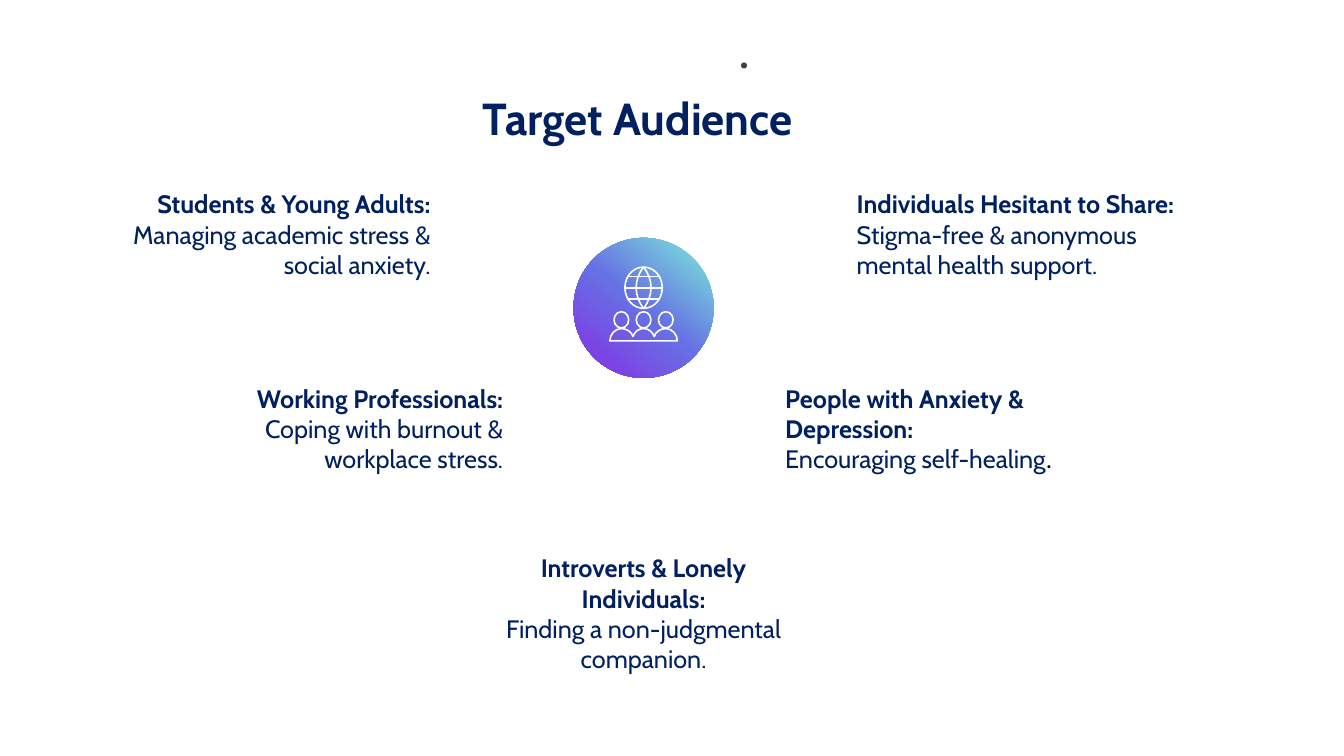
from copy import deepcopy

from pptx import Presentation, util as u
from pptx.dml.color import RGBColor
from pptx.enum import shapes, text
from pptx.oxml.ns import qn

NAVY = RGBColor(0x00, 0x20, 0x60)
BLACK = RGBColor(0, 0, 0)
WHITE = RGBColor(0xFF, 0xFF, 0xFF)
GRAY = RGBColor(0x40, 0x40, 0x40)
GRADIENT = [
    (0, RGBColor(0x7C, 0xEF, 0xD8)),
    (0.5, RGBColor(0x66, 0x72, 0xE4)),
    (1, RGBColor(0x88, 0x2B, 0xE5)),
]
LEFT, CENTER, RIGHT = text.PP_ALIGN.LEFT, text.PP_ALIGN.CENTER, text.PP_ALIGN.RIGHT

TITLE = "Target Audience"
AUDIENCES = [
    ("Students & Young Adults:", "Managing academic stress & social anxiety.", "",
     RIGHT, (2.92, 4.63, 8.18, 2.56)),
    ("Introverts & Lonely Individuals:", "Finding a non-judgmental companion.", "",
     CENTER, (11.94, 13.8, 8.56, 3.33)),
    ("Working Professionals:", "Coping with burnout & workplace stress.", "",
     RIGHT, (4.52, 9.53, 8.41, 2.56)),
    ("People with Anxiety & Depression:", "Encouraging self-healing", ".",
     LEFT, (19.54, 9.53, 8, 2.56)),
    ("Individuals Hesitant to Share:", "Stigma-free & anonymous mental health support.", "",
     LEFT, (21.34, 4.63, 8.66, 3.33)),
]

ICON_X = 16.22
GLOBE_Y = 7.25
PARALLELS = [(0.28, 0.41), (-0.28, 0.41), (0, 0.47)]
HEAD_PITCH = 0.56
GLOBE = [(0.47, 0), (0.47, 0.29), (0.26, 0.52), (0, 0.52),
         (-0.26, 0.52), (-0.47, 0.29), (-0.47, 0),
         (-0.47, -0.29), (-0.26, -0.52), (0, -0.52),
         (0.26, -0.52), (0.47, -0.29), (0.47, 0)]
MERIDIAN = [(0, -0.52), (0.25, -0.2), (0.25, 0.2), (0, 0.52)]
HALF_SHOULDERS = [(0.85, 1.34), (0.85, 1.18), (0.72, 1.03), (0.56, 1.03),
                  (0.43, 1.03), (0.3, 1.11), (0.27, 1.23),
                  (0.22, 1.11), (0.13, 1.03), (0, 1.03)]


def mirror(points):
    return [(-x, y) for x, y in points]


def outline(shape):
    shape.fill.background()
    shape.line.color.rgb = WHITE
    shape.line.width = u.Pt(1.13)
    shape.shadow.inherit = False


def add_ellipse(parent, x, y, width, height):
    shape = parent.add_shape(shapes.MSO_SHAPE.OVAL, u.Cm(x - width / 2),
                             u.Cm(y - height / 2), u.Cm(width), u.Cm(height))
    shape.shadow.inherit = False
    return shape


def add_curve(parent, offsets, closed=False):
    points = [(u.Cm(ICON_X + x), u.Cm(GLOBE_Y + y)) for x, y in offsets]
    builder = parent.build_freeform(*points[0])
    builder.add_line_segments(points[1:], close=closed)
    shape = builder.convert_to_shape()
    outline(shape)
    segments = list(shape._element.iter(qn("a:lnTo")))[:len(points) - 1]
    for start in range(0, len(segments), 3):
        curve = segments[start].makeelement(qn("a:cubicBezTo"), {})
        segments[start].addprevious(curve)
        for segment in segments[start:start + 3]:
            curve.append(segment[0])
            segment.getparent().remove(segment)


def add_span(para, words, size, bold, font="Cabin", color=NAVY):
    span = para.add_run()
    span.text = words
    span.font.name = font
    span.font.size = u.Pt(size)
    span.font.bold = bold
    span.font.color.rgb = color


def add_title(page):
    title = page.shapes.title
    title.left, title.top, title.width, title.height = map(u.Cm, (0.58, 2.23, 30.99, 1.32))
    frame = title.text_frame
    frame.margin_left = frame.margin_top = frame.margin_right = frame.margin_bottom = 0
    frame.vertical_anchor = text.MSO_ANCHOR.TOP
    frame.auto_size = text.MSO_AUTO_SIZE.NONE
    para = frame.paragraphs[0]
    para.alignment = CENTER
    para.line_spacing = u.Pt(40)
    add_span(para, TITLE, 32, True)


def add_audience(page, heading, detail, ending, alignment, place):
    box = page.shapes.add_textbox(*map(u.Cm, place))
    frame = box.text_frame
    frame.word_wrap = True
    paras = [frame.paragraphs[0], frame.add_paragraph()]
    for para, words, bold in zip(paras, (heading, detail), (True, False)):
        para.alignment = alignment
        add_span(para, words, 18, bold)
    if ending:
        add_span(paras[1], ending, 18, False, "Calibri", BLACK)


def add_icon(page):
    icon = page.shapes.add_group_shape().shapes

    disc = add_ellipse(icon, ICON_X, 7.76, 3.53, 3.53)
    disc.line.fill.background()
    disc.fill.gradient()
    disc.fill.gradient_angle = 230
    stops = disc._element.spPr.find(qn("a:gradFill")).find(qn("a:gsLst"))
    stops.append(deepcopy(stops[0]))
    for stop, (position, color) in zip(disc.fill.gradient_stops, GRADIENT):
        stop.position = position
        stop.color.rgb = color

    add_curve(icon, GLOBE, True)
    add_curve(icon, mirror(MERIDIAN))
    add_curve(icon, MERIDIAN)
    for rise, half in PARALLELS:
        y = u.Cm(GLOBE_Y + rise)
        line = icon.add_connector(shapes.MSO_CONNECTOR.STRAIGHT, u.Cm(ICON_X - half), y,
                                  u.Cm(ICON_X + half), y)
        line.line.color.rgb = WHITE
        line.line.width = u.Pt(1.13)
        line._element.spPr.get_or_add_ln().addnext(
            line._element.makeelement(qn("a:effectLst"), {}))

    for place in (-1, 0, 1):
        outline(add_ellipse(icon, ICON_X + place * HEAD_PITCH, 8.06, 0.37, 0.41))
    corner = HALF_SHOULDERS[0]
    add_curve(icon, HALF_SHOULDERS + mirror(HALF_SHOULDERS[-2::-1]) + [corner] * 3, True)


def main():
    deck = Presentation()
    deck.slide_width, deck.slide_height = u.Cm(33.87), u.Cm(19.05)
    page = deck.slides.add_slide(deck.slide_layouts[5])
    dot = add_ellipse(page.shapes, 18.75, 1.65, 0.15, 0.15)
    dot.fill.solid()
    dot.fill.fore_color.rgb = GRAY
    dot.line.fill.background()
    add_title(page)
    add_icon(page)
    for audience in AUDIENCES:
        add_audience(page, *audience)
    deck.save("out.pptx")


if __name__ == "__main__":
    main()
